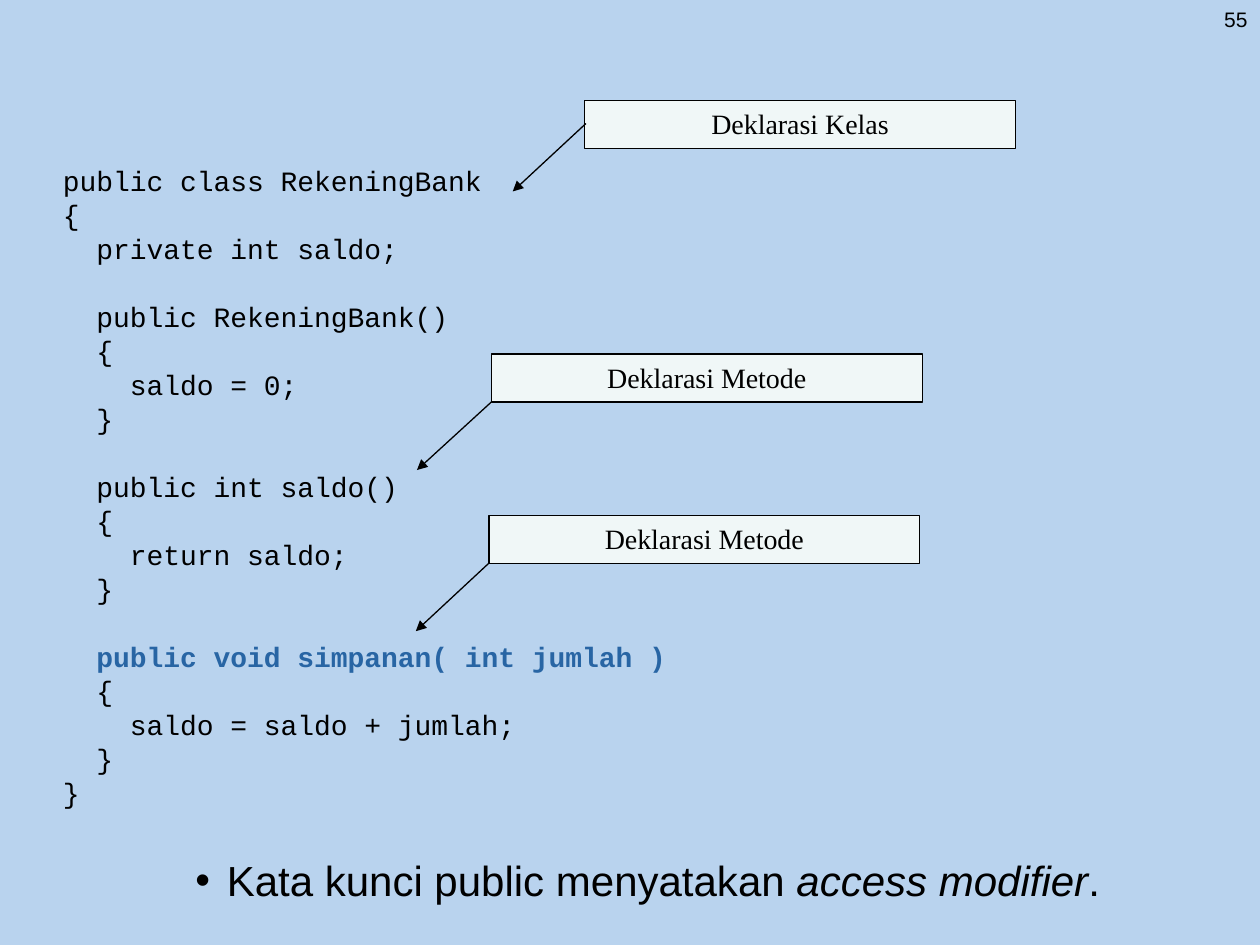
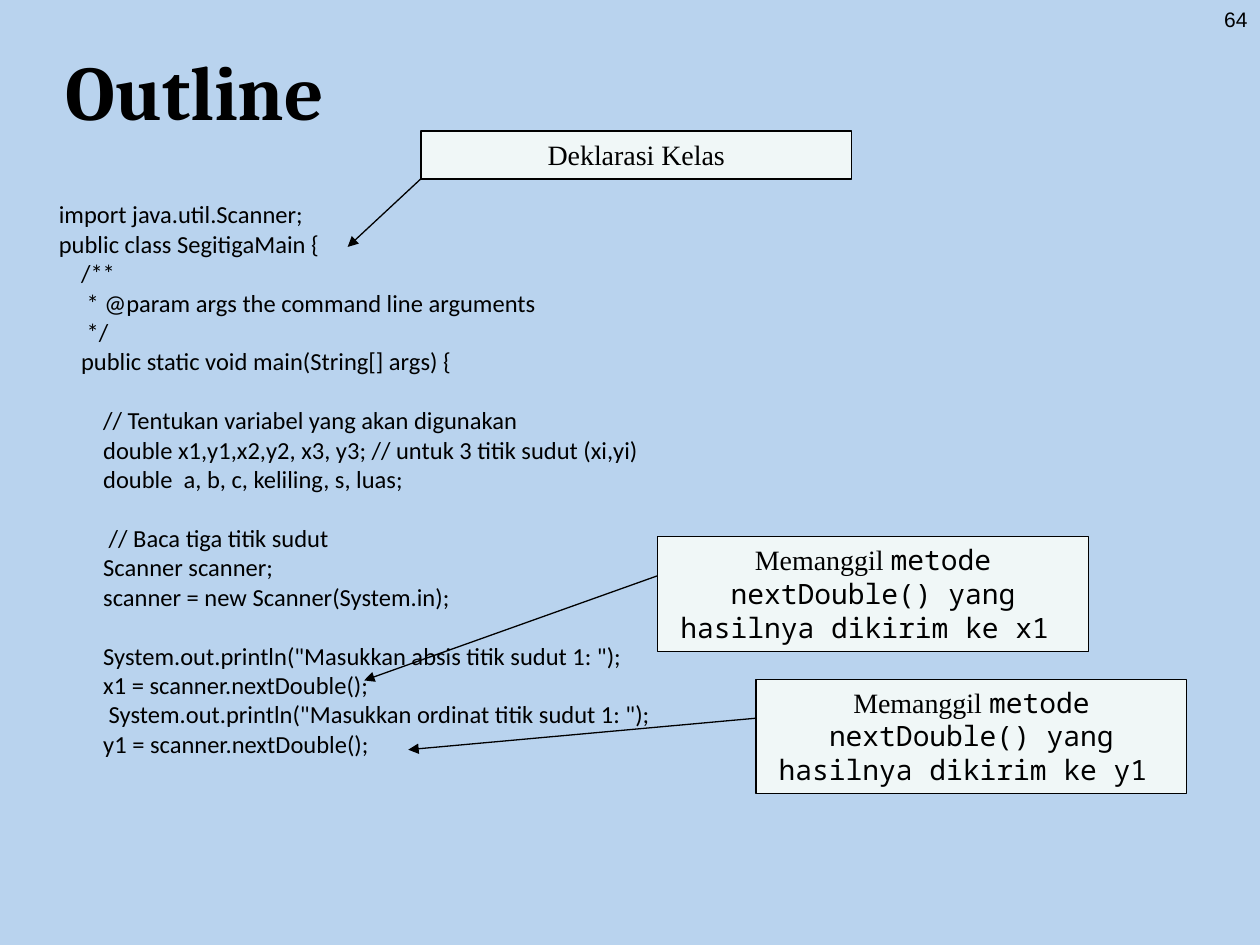
from pptx import Presentation
from pptx.dml.color import RGBColor
from pptx.enum.shapes import MSO_CONNECTOR as CONN, MSO_SHAPE as SHAPE
from pptx.enum.text import MSO_ANCHOR as ANCHOR, MSO_AUTO_SIZE as FIT, PP_ALIGN as ALIGN
from pptx.oxml.ns import qn
from pptx.util import Pt
from lxml import etree

# Content
BANK_CODE = """public class RekeningBank
{
  private int saldo;

  public RekeningBank()
  {
    saldo = 0;
  }

  public int saldo()
  {
    return saldo;
  }

  public void simpanan( int jumlah )
  {
    saldo = saldo + jumlah;
  }
}"""
KEY_LINE = "public void simpanan( int jumlah )"

TRIANGLE_CODE = """import java.util.Scanner;
public class SegitigaMain {
    /**
     * @param args the command line arguments
     */
    public static void main(String[] args) {

        // Tentukan variabel yang akan digunakan
        double x1,y1,x2,y2, x3, y3; // untuk 3 titik sudut (xi,yi)
        double  a, b, c, keliling, s, luas;

         // Baca tiga titik sudut
        Scanner scanner;
        scanner = new Scanner(System.in);

        System.out.println("Masukkan absis titik sudut 1: ");
        x1 = scanner.nextDouble();
         System.out.println("Masukkan ordinat titik sudut 1: ");
        y1 = scanner.nextDouble();"""

BULLET = [("Kata kunci public menyatakan ", False), ("access modifier", True), (".", False)]
CALL = "metode nextDouble() yang hasilnya dikirim ke {} "

# Callouts: serif text, monospaced text, box corner, arrow start, arrow end
BANK_CALLOUTS = [
    ("Deklarasi Kelas", "", (334.1, 57.6), (334.8, 70.6), (293, 109.4)),
    ("Deklarasi Metode", "", (280.8, 202.3), (280.8, 229.7), (238.3, 268.6)),
    ("Deklarasi Metode", "", (279.4, 294.5), (279.4, 321.8), (237.6, 360.7)),
]
TRIANGLE_CALLOUTS = [
    ("Memanggil ", CALL.format("x1"), (375.8, 306.7), (375.8, 329), (208.1, 388.8)),
    ("Deklarasi Kelas", "", (240.5, 74.9), (240.5, 102.2), (198.7, 141.1)),
    ("Memanggil ", CALL.format("y1"), (432, 388.1), (432, 410.4), (233.3, 428.4)),
]

# Shared style
BACK, INK, BOX, ACCENT = "B9D3EE", "000000", "F0F7F7", "2865A4"
SANS, SERIF, MONO = "Arial", "Times New Roman", "Noto Sans Mono"
CALLOUT_W, ONE_LINE_H, THREE_LINE_H = 246.2, 27.4, 65.5


def rgb(value):
    return RGBColor.from_string(value)


def add_run(p, text, size, font, color=INK, bold=False, italic=False):
    r = p.add_run()
    r.text = text
    r.font.size, r.font.name = Pt(size), font
    r.font.bold, r.font.italic = bold, italic
    r.font.color.rgb = rgb(color)


def place(sp, x, y, w, h):
    sp.left, sp.top, sp.width, sp.height = Pt(x), Pt(y), Pt(w), Pt(h)


def add_text_box(s, x, y, w, h):
    tf = s.shapes.add_textbox(Pt(x), Pt(y), Pt(w), Pt(h)).text_frame
    tf.word_wrap = True
    return tf


def add_code(s, box, code, size, font, spacing=1.0, gap=0, anchor=ANCHOR.TOP):
    tf = add_text_box(s, *box)
    tf.vertical_anchor = anchor
    for i, line in enumerate(code.splitlines()):
        p = tf.add_paragraph() if i else tf.paragraphs[0]
        p.font.size, p.font.name = Pt(size), font
        p.line_spacing = spacing
        p.space_before = Pt(gap if i else 0)
        before, key, after = line.partition(KEY_LINE)
        for text, color in ((before, INK), (key, ACCENT), (after, INK)):
            if text:
                add_run(p, text, size, font, color, bold=color == ACCENT)


def add_callout(s, serif, mono, corner, start, end):
    group = s.shapes.add_group_shape()
    height = THREE_LINE_H if mono else ONE_LINE_H
    sp = group.shapes.add_shape(SHAPE.RECTANGLE, *map(Pt, (*corner, CALLOUT_W, height)))
    sp.shadow.inherit = False
    sp.fill.solid()
    sp.fill.fore_color.rgb = rgb(BOX)
    sp.line.color.rgb, sp.line.width = rgb(INK), Pt(0.75)
    tf = sp.text_frame
    tf.word_wrap, tf.vertical_anchor = True, ANCHOR.TOP
    p = tf.paragraphs[0]
    p.alignment = ALIGN.CENTER
    for text, font in ((serif, SERIF), (mono, MONO)):
        if text:
            add_run(p, text, 16, font)

    arrow = group.shapes.add_connector(CONN.STRAIGHT, *map(Pt, (*start, *end)))
    arrow.line.color.rgb, arrow.line.width = rgb(INK), Pt(0.75)
    ln = arrow.line._get_or_add_ln()
    etree.SubElement(ln, qn("a:tailEnd"), type="triangle")
    etree.SubElement(arrow._element.spPr, qn("a:effectLst"))


def new_slide(prs, layout, number):
    s = prs.slides.add_slide(prs.slide_layouts[layout])
    p = add_text_box(s, 552.2, 0, 167.8, 37.4).paragraphs[0]
    p.alignment = ALIGN.RIGHT
    add_run(p, number, 12, SANS)
    return s


def bank_slide(prs):
    s = new_slide(prs, 1, "55")
    title = s.shapes.title._element
    title.getparent().remove(title)

    # Bullet
    body = s.placeholders[1]
    place(body, 104.4, 484.8, 540, 36)
    body.text_frame.auto_size = FIT.NONE
    p = body.text_frame.paragraphs[0]
    pPr = p._p.get_or_add_pPr()
    pPr.set("marL", str(Pt(18)))
    pPr.set("indent", str(-Pt(18)))
    p.space_before = Pt(0)
    for text, italic in BULLET:
        add_run(p, text, 24, SANS, italic=italic)

    # Code and callouts
    add_code(s, (28.8, 93.6, 512.6, 356.4), BANK_CODE, 16, "Courier New", 0.8, 4.1)
    for callout in BANK_CALLOUTS:
        add_callout(s, *callout)


def triangle_slide(prs):
    s = new_slide(prs, 5, "64")

    # Title
    title = s.shapes.title
    place(title, 30.2, 21.6, 667.4, 59.8)
    title.text_frame.auto_size = FIT.NONE
    p = title.text_frame.paragraphs[0]
    p.alignment = ALIGN.LEFT
    add_run(p, "Outline", 44, "Cambria", bold=True)

    # Code and callouts
    add_code(s, (26.6, 108.7, 378.7, 329.8), TRIANGLE_CODE, 14, "Calibri", anchor=ANCHOR.MIDDLE)
    for callout in TRIANGLE_CALLOUTS:
        add_callout(s, *callout)


def main():
    prs = Presentation()
    prs.slide_width, prs.slide_height = Pt(720), Pt(540)
    fill = prs.slide_master.background.fill
    fill.solid()
    fill.fore_color.rgb = rgb(BACK)
    bank_slide(prs)
    triangle_slide(prs)
    prs.save("out.pptx")


if __name__ == "__main__":
    main()
